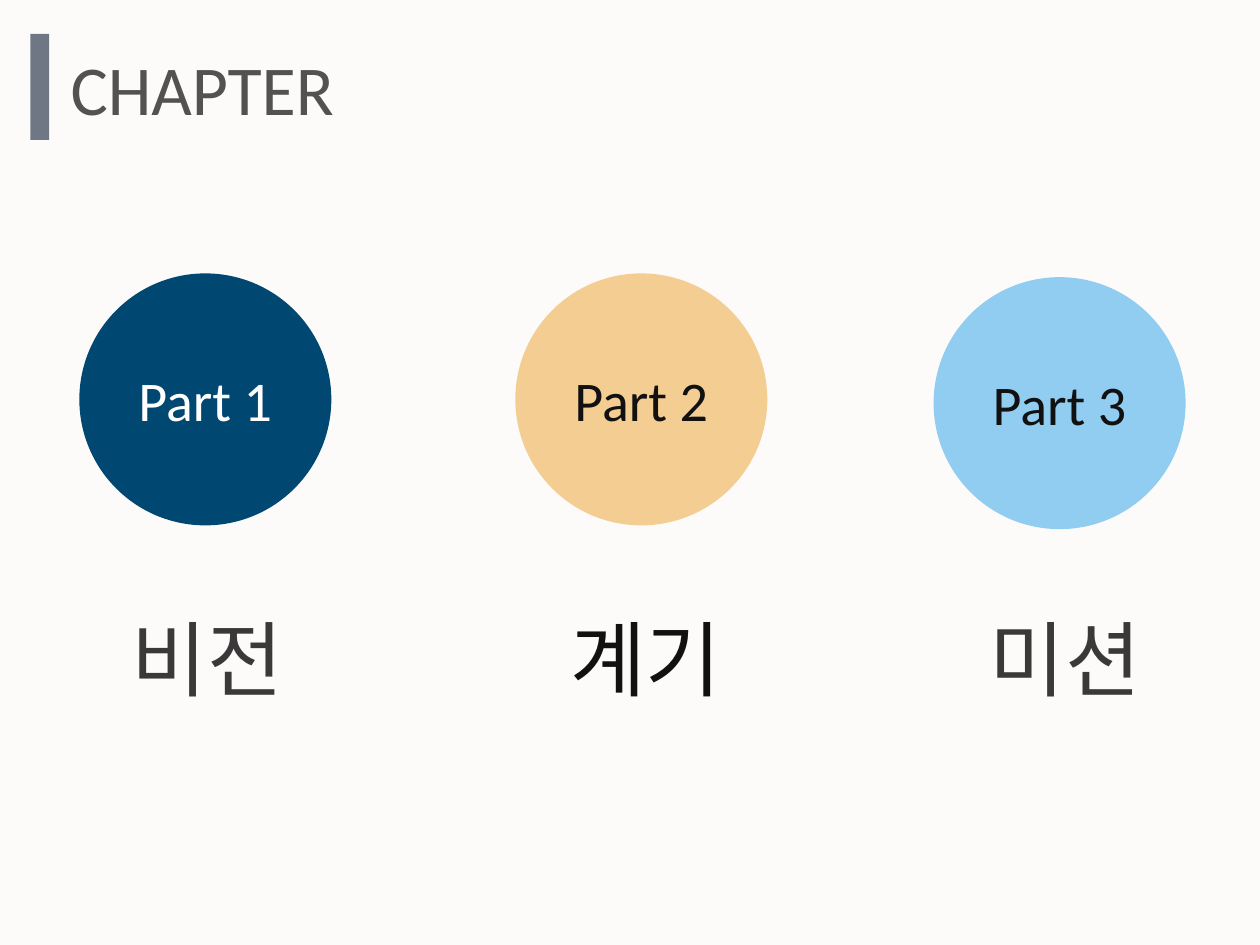
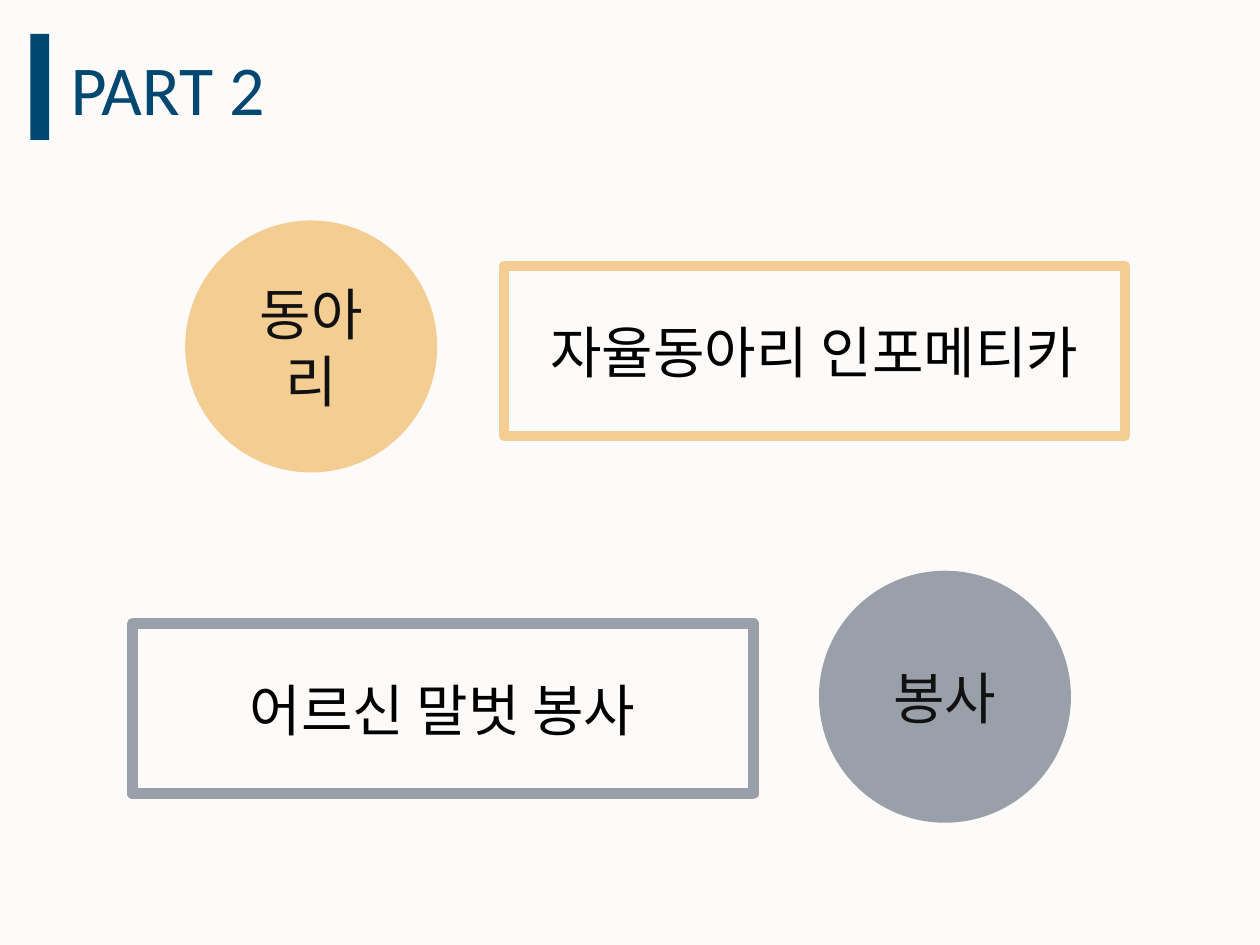
from dataclasses import dataclass
from typing import Optional

from lxml.etree import SubElement
from pptx import Presentation
from pptx.dml.color import RGBColor
from pptx.enum.shapes import MSO_SHAPE as Preset
from pptx.enum.text import MSO_ANCHOR as Anchor, MSO_AUTO_SIZE as AutoSize, PP_ALIGN as Align
from pptx.oxml.ns import qn
from pptx.util import Inches, Pt


@dataclass(frozen=True)
class Theme:
    background: str = "FCFBFA"
    slate: str = "6E7783"
    navy: str = "004771"
    sand: str = "F3CD91"
    sky: str = "91CCF1"
    grey: str = "99A0A9"
    heading: str = "525252"
    charcoal: str = "3A3838"
    ink: str = "111111"
    black: str = "000000"
    white: str = "FFFFFF"
    latin: str = "Calibri"
    korean: str = "Noto Sans CJK KR"
    title_size: int = 40
    topic_size: int = 47
    body_size: int = 32
    frame_width: int = 6


THEME = Theme()
DIAMETER = 2
FRAME_SIZE = (4.93, 1.35)
TOPIC_SIZE = (1.91, 1.36)
TOPIC_TOP = 4.78


@dataclass(frozen=True)
class Circle:
    text: str
    left: float
    top: float
    fill: str
    ink: str = THEME.ink


@dataclass(frozen=True)
class Frame:
    text: str
    left: float
    top: float
    line: str


@dataclass(frozen=True)
class Topic:
    text: str
    left: float
    ink: str = THEME.charcoal


CHAPTERS = [
    (Circle("Part 1", 0.63, 2.17, THEME.navy, THEME.white), Topic("비전", 0.69)),
    (Circle("Part 2", 4.09, 2.17, THEME.sand), Topic("계기", 4.17, THEME.ink)),
    (Circle("Part 3", 7.41, 2.2, THEME.sky), Topic("미션", 7.5)),
]
ACTIVITIES = [
    (Circle("동아리", 1.47, 1.75, THEME.sand), Frame("자율동아리 인포메티카", 4, 2.11, THEME.sand)),
    (Circle("봉사", 6.5, 4.53, THEME.grey), Frame("어르신 말벗 봉사", 1.05, 4.95, THEME.grey)),
]


def rgb(value: str) -> RGBColor:
    return RGBColor.from_string(value)


def apply(target, formats: dict) -> None:
    for name, value in formats.items():
        setattr(target, name, value)


def write(shape, text: str, size: int, ink: str, font: str = THEME.latin,
          align: Align = Align.CENTER, **frame_formats) -> None:
    apply(shape.text_frame, frame_formats)
    paragraph = shape.text_frame.paragraphs[0]
    paragraph.alignment = align
    run = paragraph.add_run()
    run.text = text
    apply(run.font, {"name": font, "size": Pt(size)})
    run.font.color.rgb = rgb(ink)
    SubElement(run.font._element, qn("a:ea")).set("typeface", THEME.korean)


def add_preset(slide, preset: Preset, left: float, top: float, width: float, height: float,
               fill: Optional[str] = None, line: Optional[str] = None):
    shape = slide.shapes.add_shape(preset, Inches(left), Inches(top), Inches(width), Inches(height))
    shape.shadow.inherit = False
    if fill:
        shape.fill.solid()
        shape.fill.fore_color.rgb = rgb(fill)
    else:
        shape.fill.background()
    if line:
        shape.line.color.rgb = rgb(line)
        shape.line.width = Pt(THEME.frame_width)
    else:
        shape.line.fill.background()
    return shape


def add_circle(slide, circle: Circle) -> None:
    shape = add_preset(slide, Preset.OVAL, circle.left, circle.top, DIAMETER, DIAMETER, circle.fill)
    write(shape, circle.text, THEME.body_size, circle.ink, vertical_anchor=Anchor.MIDDLE)


def add_frame(slide, frame: Frame) -> None:
    shape = add_preset(slide, Preset.RECTANGLE, frame.left, frame.top, *FRAME_SIZE, line=frame.line)
    write(shape, frame.text, THEME.body_size, THEME.black, vertical_anchor=Anchor.MIDDLE)


def add_topic(slide, topic: Topic) -> None:
    width, height = TOPIC_SIZE
    box = slide.shapes.add_textbox(Inches(topic.left), Inches(TOPIC_TOP), Inches(width), Inches(height))
    write(box, topic.text, THEME.topic_size, topic.ink, THEME.korean, word_wrap=True)


def add_titled_slide(deck, title: str, width: float, ink: str, bar: str):
    slide = deck.slides.add_slide(deck.slide_layouts.get_by_name("Title Only"))
    heading = slide.shapes.title
    apply(heading, {"left": Inches(0.46), "top": Inches(0.31),
                    "width": Inches(width), "height": Inches(0.77)})
    write(heading, title, THEME.title_size, ink, align=Align.LEFT,
          vertical_anchor=Anchor.TOP, word_wrap=False, auto_size=AutoSize.NONE)
    add_preset(slide, Preset.RECTANGLE, 0.24, 0.27, 0.15, 0.84, bar)
    return slide


def main() -> None:
    deck = Presentation()
    apply(deck, {"slide_width": Inches(10), "slide_height": Inches(7.5)})
    background = deck.slide_master.background.fill
    background.solid()
    background.fore_color.rgb = rgb(THEME.background)

    overview = add_titled_slide(deck, "CHAPTER", 2.29, THEME.heading, THEME.slate)
    for circle, topic in CHAPTERS:
        add_circle(overview, circle)
        add_topic(overview, topic)

    motives = add_titled_slide(deck, "PART 2", 1.78, THEME.navy, THEME.navy)
    for circle, frame in ACTIVITIES:
        add_circle(motives, circle)
        add_frame(motives, frame)

    deck.save("out.pptx")


if __name__ == "__main__":
    main()
